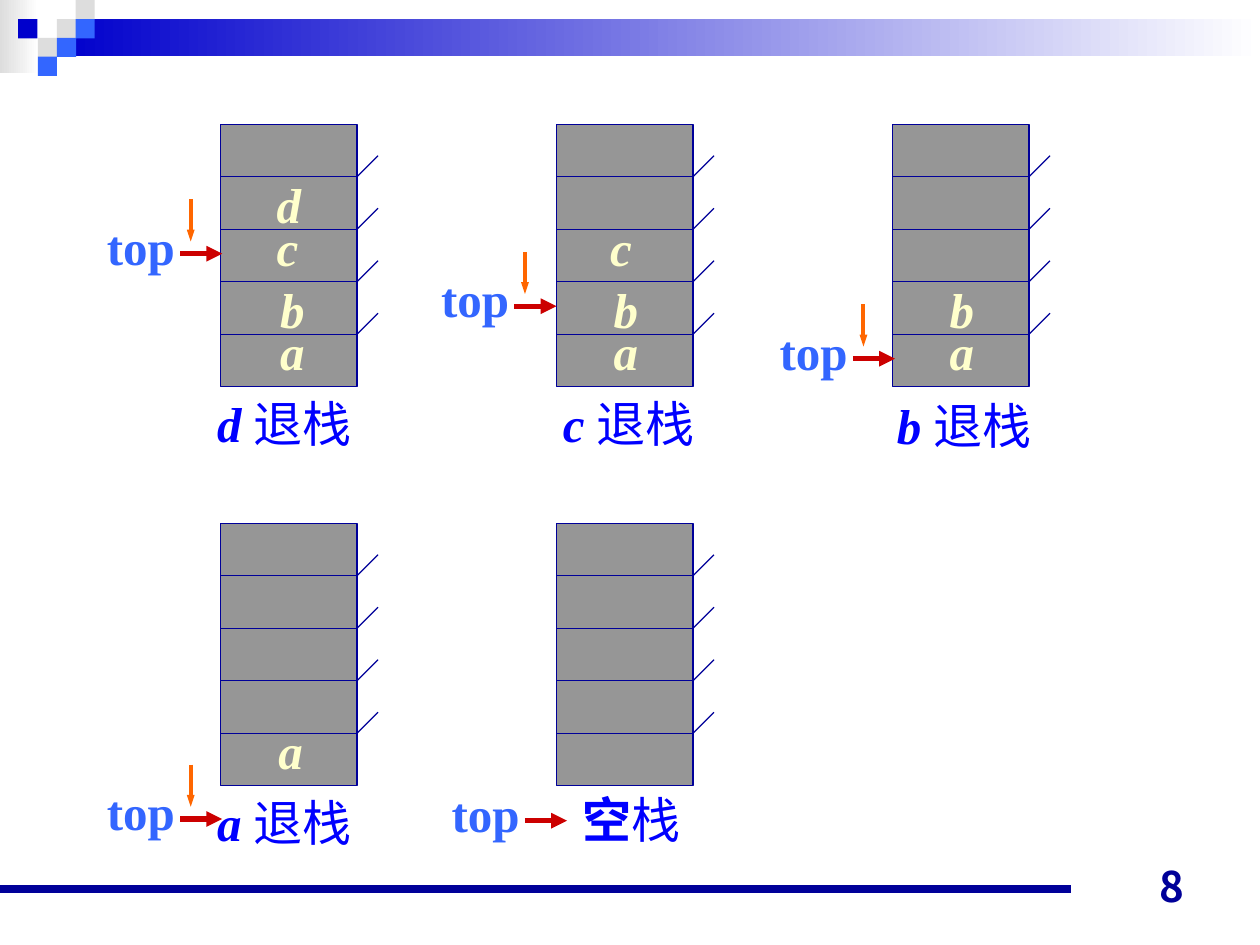
from lxml.etree import SubElement
from pptx import Presentation
from pptx.dml.color import RGBColor
from pptx.enum.shapes import MSO_CONNECTOR as Connector, MSO_SHAPE as Shape
from pptx.enum.text import MSO_ANCHOR as Anchor, MSO_AUTO_SIZE as AutoSize, PP_ALIGN as Align
from pptx.oxml.ns import qn
from pptx.util import Pt

WHITE = RGBColor(0xFF, 0xFF, 0xFF)
SILVER = RGBColor(0xDD, 0xDD, 0xDD)
GRAY = RGBColor(0x96, 0x96, 0x96)
NAVY = RGBColor(0x00, 0x00, 0x99)
DEEP_BLUE = RGBColor(0x00, 0x00, 0xCC)
SKY_BLUE = RGBColor(0x33, 0x66, 0xFF)
BLUE = RGBColor(0x00, 0x00, 0xFF)
CREAM = RGBColor(0xFF, 0xFF, 0xCC)
RED = RGBColor(0xCC, 0x00, 0x00)
ORANGE = RGBColor(0xFF, 0x66, 0x00)

CELL_WIDTH, CELL_HEIGHT, CELL_COUNT, TICK = 78, 30, 5, 12
LETTER_PLACES = {"a": (0, 109, 28), "b": (0, 85, 28), "c": (-2, 50, 26.6), "d": (-2, 25, 28)}
SQUARES = [
    (32.5, 11, SILVER), (43.2, 0, SILVER), (43.2, 11, SKY_BLUE), (21.6, 21.6, SILVER),
    (10.4, 11, DEEP_BLUE), (32.5, 21.6, SKY_BLUE), (21.6, 32.4, SKY_BLUE),
]


class Painter:
    label_font = {"size": Pt(28), "name": "Times New Roman", "bold": True, "italic": False}
    label_frame = {"word_wrap": False, "auto_size": AutoSize.SHAPE_TO_FIT_TEXT}

    def __init__(self, page):
        self.page = page

    def apply(self, target, values):
        for name, value in values.items():
            setattr(target, name, value)

    def rectangle(self, left, top, width, height, fill, border=None, fade=False):
        box = self.page.shapes.add_shape(
            Shape.RECTANGLE, Pt(left), Pt(top), Pt(width), Pt(height))
        box.shadow.inherit = False
        if fade:
            box.fill.gradient()
            box.fill.gradient_angle = 0
            for stop, color in zip(box.fill.gradient_stops, (fill, WHITE)):
                stop.color.rgb = color
        else:
            box.fill.solid()
            box.fill.fore_color.rgb = fill
        if border is None:
            box.line.fill.background()
        else:
            box.line.color.rgb = border
            box.line.width = Pt(0.75)

    def line(self, start, end, color=NAVY, weight=0.75, arrow=None):
        connector = self.page.shapes.add_connector(
            Connector.STRAIGHT, *(Pt(value) for value in (*start, *end)))
        connector.line.color.rgb = color
        connector.line.width = Pt(weight)
        properties = connector._element.spPr
        if arrow:
            SubElement(properties.find(qn("a:ln")), qn("a:tailEnd"), type="triangle", w=arrow)
        SubElement(properties, qn("a:effectLst"))

    def text(self, left, top, width, spans, color, height=41, font=None, frame=None, align=None):
        box = self.page.shapes.add_textbox(Pt(left), Pt(top), Pt(width), Pt(height))
        self.apply(box.text_frame, frame or self.label_frame)
        para = box.text_frame.paragraphs[0]
        para.alignment = align
        for words, changes in spans:
            span = para.add_run()
            span.text = words
            self.apply(span.font, {**self.label_font, **(font or {}), **changes})
            span.font.color.rgb = color

    def stack(self, left, top, letters, letter_left):
        right = left + CELL_WIDTH
        self.rectangle(left, top, CELL_WIDTH, CELL_HEIGHT * CELL_COUNT, GRAY, border=NAVY)
        for row in range(1, CELL_COUNT):
            level = top + row * CELL_HEIGHT
            self.line((left, level), (right, level))
            self.line((right, level), (right + TICK, level - TICK))
        for letter in letters:
            shift, drop, width = LETTER_PLACES[letter]
            self.text(letter_left + shift, top + drop, width,
                      [(letter, {"italic": True})], CREAM)

    def pointer(self, left, level, moving):
        self.text(left - 49, level - 25, 53.3, [("top", {})], SKY_BLUE)
        self.line((left, level), (left + 24, level), RED, 3, arrow="med")
        if moving:
            self.line((left + 6, level - 31), (left + 6, level - 7), ORANGE, 2.25, arrow="sm")

    def caption(self, left, top, width, lead, rest, italic):
        spans = [(lead, {"italic": italic}), (rest, {"bold": False})]
        self.text(left, top, width, spans, BLUE)

    def decoration(self):
        self.rectangle(0, 0, 22, 41.6, SILVER, fade=True)
        self.rectangle(32.5, 11, 687.5, 21.2, DEEP_BLUE, fade=True)
        for left, top, color in SQUARES:
            self.rectangle(left, top, 11, 11, color)
        self.line((0, 508), (612, 508), weight=4.5)
        self.text(516, 488, 168, [("8", {})], NAVY, height=36,
                  font={"size": Pt(24), "name": "Noto Sans CJK JP"},
                  frame={"word_wrap": True, "vertical_anchor": Anchor.BOTTOM},
                  align=Align.RIGHT)


def main():
    deck = Presentation()
    deck.slide_width, deck.slide_height = Pt(720), Pt(540)
    painter = Painter(deck.slides.add_slide(deck.slide_layouts[6]))
    painter.decoration()
    stacks = [
        (126, 71, "abcd", 153, (103, 145), (117, 221.4, 98, "d ", "退栈")),
        (318, 71, "abc", 343.6, (294, 175), (314.6, 221.4, 96.5, "c ", "退栈")),
        (510, 71, "ab", 535.6, (487.4, 205), (505.4, 222.4, 98, "b ", "退栈")),
        (126, 299, "a", 152, (103, 468), (117, 449.4, 98, "a ", "退栈")),
        (318, 299, "", 344, (300, 469), (325.6, 447.4, 74, "空", "栈")),
    ]
    for left, top, letters, letter_left, pointer, caption in stacks:
        painter.stack(left, top, letters, letter_left)
        painter.pointer(*pointer, moving=bool(letters))
        painter.caption(*caption, italic=bool(letters))
    deck.save("out.pptx")


if __name__ == "__main__":
    main()
